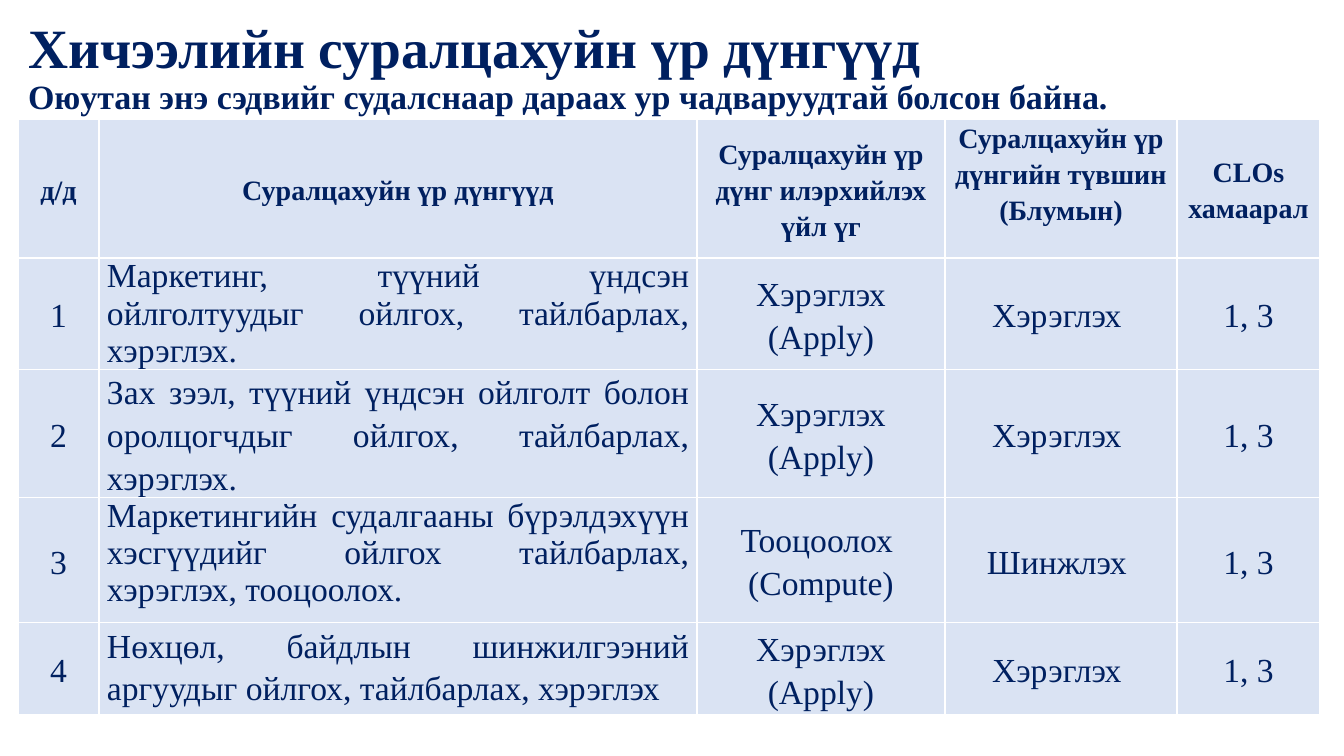
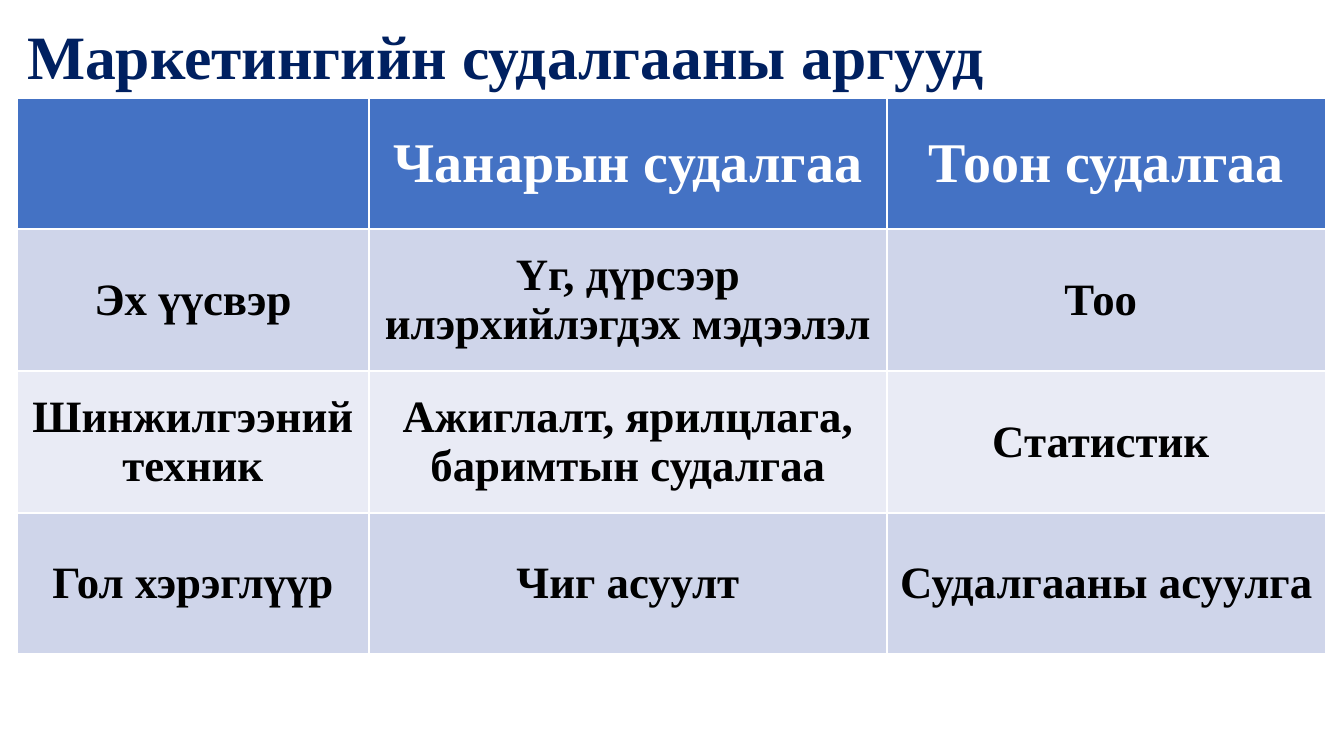
from pptx import Presentation
from pptx.dml.color import RGBColor
from pptx.enum.text import MSO_ANCHOR, MSO_AUTO_SIZE, PP_ALIGN
from pptx.util import Emu, Pt

SLIDE_WIDTH, SLIDE_HEIGHT = 1344, 756
EMU_PER_PX = 12192000 / SLIDE_WIDTH
TITLE_ONLY = 5
FONT = "Times New Roman"
LEFT, CENTER, JUSTIFY = PP_ALIGN.LEFT, PP_ALIGN.CENTER, PP_ALIGN.JUSTIFY
TOP, MIDDLE = MSO_ANCHOR.TOP, MSO_ANCHOR.MIDDLE
COLORS = {
    "navy": "002060",
    "white": "FFFFFF",
    "black": "000000",
    "pale blue": "DAE3F3",
    "header blue": "4472C4",
    "band dark": "CFD5EA",
    "band light": "E9EBF5",
}


def px(*lengths):
    """Turn px lengths into EMU."""
    return [Emu(round(length * EMU_PER_PX)) for length in lengths]


def set_font(font, size, color, bold=True):
    values = {"name": FONT, "size": Pt(size), "bold": bold}
    for name, value in values.items():
        setattr(font, name, value)
    font.color.rgb = RGBColor.from_string(COLORS[color])


presentation = Presentation()
presentation.slide_width, presentation.slide_height = px(SLIDE_WIDTH, SLIDE_HEIGHT)

PALE_CELL = {"fill": "pale blue", "color": "navy", "spacing": 1.15, "insets": (8, 0)}
BAND_CELL = {"color": "black", "size": 32, "bold": True, "spacing": 1, "insets": (10, 5)}
outcome_body = {**PALE_CELL, "size": 24, "bold": False}
method_dark = {**BAND_CELL, "fill": "band dark"}

slides = [
    {
        "title": [("Хичээлийн суралцахуйн үр дүнгүүд", 39.6),
                  ("Оюутан энэ сэдвийг судалснаар дараах ур чадваруудтай болсон байна.", 24.3)],
        "title box": (18, 20, 1302, 97),
        "table at": (18, 119),
        "columns": [81, 598, 248, 232, 143],
        "rows": [139, 111, 128, 125, 92],
        "row formats": [{**PALE_CELL, "size": 20, "bold": True}] + [outcome_body] * 4,
        "cell formats": {
            (0, 3): {"anchor": TOP},
            (1, 1): {"align": JUSTIFY, "spacing": 1},
            (2, 1): {"align": JUSTIFY},
            (3, 1): {"align": JUSTIFY, "spacing": 1, "anchor": TOP},
            (4, 1): {"align": JUSTIFY, "anchor": TOP},
        },
        "cells": [
            ["д/д", "Суралцахуйн үр дүнгүүд", "Суралцахуйн үр дүнг илэрхийлэх үйл үг",
             "Суралцахуйн үр дүнгийн түвшин\n(Блумын)", "CLOs хамаарал"],
            ["1", "Маркетинг, түүний үндсэн ойлголтуудыг ойлгох, тайлбарлах, хэрэглэх. ",
             "Хэрэглэх\n(Apply)", "Хэрэглэх ", "1, 3"],
            ["2", "Зах зээл, түүний үндсэн ойлголт болон оролцогчдыг ойлгох, тайлбарлах, хэрэглэх. ",
             "Хэрэглэх\n(Apply)", "Хэрэглэх ", "1, 3"],
            ["3", "Маркетингийн судалгааны бүрэлдэхүүн хэсгүүдийг ойлгох тайлбарлах, хэрэглэх, тооцоолох. ",
             "Тооцоолох \n(Compute)", "Шинжлэх ", "1, 3"],
            ["4", "Нөхцөл, байдлын шинжилгээний аргуудыг ойлгох, тайлбарлах, хэрэглэх",
             "Хэрэглэх\n(Apply)", "Хэрэглэх ", "1, 3"],
        ],
    },
    {
        "title": [("Маркетингийн судалгааны аргууд", 44)],
        "title box": (17, 19, 1159, 82),
        "table at": (17, 98),
        "columns": [352, 518, 439],
        "rows": [131, 142, 142, 141],
        "row formats": [
            {**BAND_CELL, "fill": "header blue", "color": "white", "size": 40},
            method_dark,
            {**BAND_CELL, "fill": "band light"},
            method_dark,
        ],
        "cell formats": {},
        "cells": [
            ["", "Чанарын судалгаа", "Тоон судалгаа"],
            ["Эх үүсвэр", "Үг, дүрсээр илэрхийлэгдэх мэдээлэл", "Тоо "],
            ["Шинжилгээний техник", "Ажиглалт, ярилцлага, баримтын судалгаа", "Статистик "],
            ["Гол хэрэглүүр", "Чиг асуулт", "Судалгааны асуулга"],
        ],
    },
]

for content in slides:
    slide = presentation.slides.add_slide(presentation.slide_layouts[TITLE_ONLY])

    title = slide.shapes.title
    title.left, title.top, title.width, title.height = px(*content["title box"])
    title.text_frame.auto_size = MSO_AUTO_SIZE.NONE
    title.text_frame.vertical_anchor = MIDDLE
    paragraph = title.text_frame.paragraphs[0]
    paragraph.alignment = LEFT
    paragraph.line_spacing = 0.9
    for index, (text, size) in enumerate(content["title"]):
        if index:
            paragraph.add_line_break()
        run = paragraph.add_run()
        run.text = text
        set_font(run.font, size, "navy")

    columns, rows = content["columns"], content["rows"]
    table = slide.shapes.add_table(
        len(rows), len(columns), *px(*content["table at"], sum(columns), sum(rows))
    ).table
    for column, width in zip(table.columns, px(*columns)):
        column.width = width
    for row, height in zip(table.rows, px(*rows)):
        row.height = height

    for row_index, texts in enumerate(content["cells"]):
        for column_index, text in enumerate(texts):
            style = {"align": CENTER, "anchor": MIDDLE, **content["row formats"][row_index],
                     **content["cell formats"].get((row_index, column_index), {})}
            cell = table.cell(row_index, column_index)
            cell.fill.solid()
            cell.fill.fore_color.rgb = RGBColor.from_string(COLORS[style["fill"]])
            cell.vertical_anchor = style["anchor"]
            side, end = px(*style["insets"])
            cell.margin_left = cell.margin_right = side
            cell.margin_top = cell.margin_bottom = end
            cell.text = text
            for paragraph in cell.text_frame.paragraphs:
                paragraph.alignment = style["align"]
                paragraph.line_spacing = style["spacing"]
                for run in paragraph.runs:
                    set_font(run.font, style["size"], style["color"], style["bold"])

presentation.save("out.pptx")
